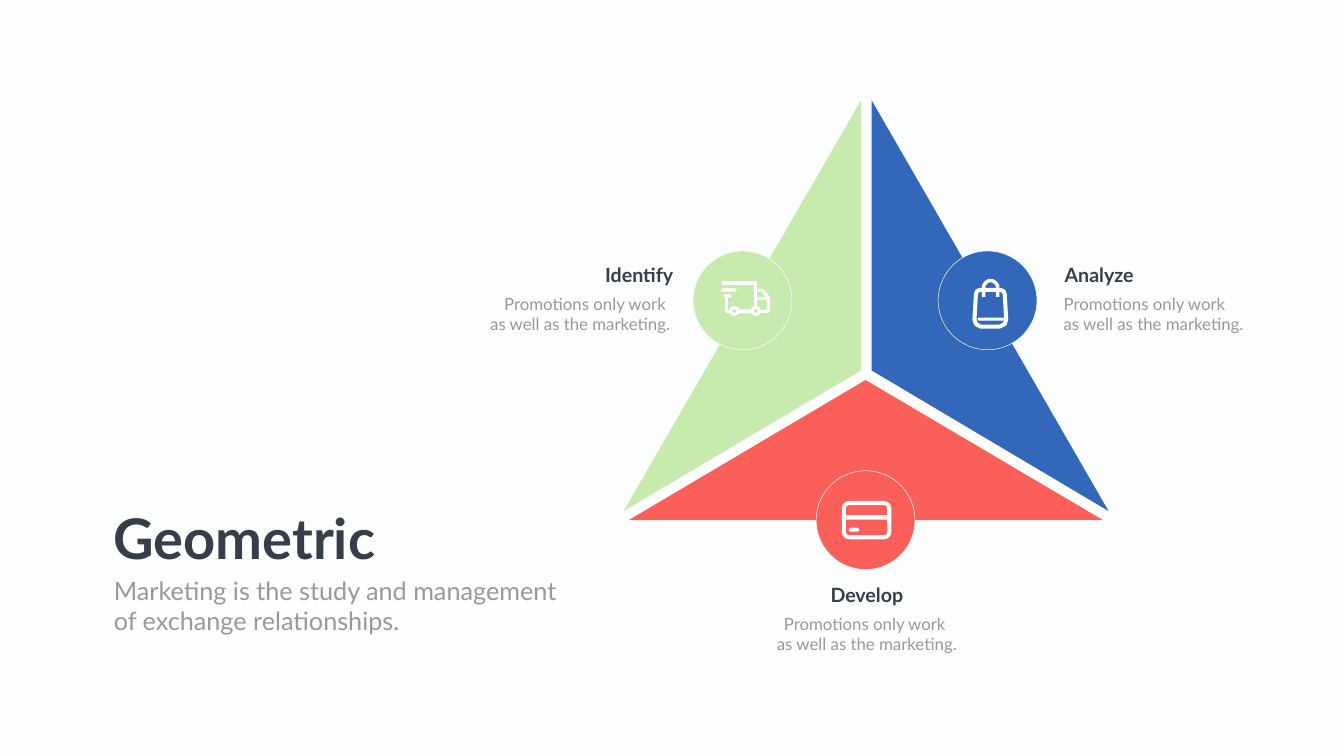
"""Build the Geometric slide: a three-part triangle with icon badges and captions."""
from math import cos, pi, sin

from pptx import Presentation
from pptx.dml.color import RGBColor
from pptx.enum.shapes import MSO_SHAPE as Shape
from pptx.enum.text import PP_ALIGN as Align
from pptx.util import Emu, Pt

PX = 9144
WHITE, DARK, GRAY = "FFFFFF", "353E49", "989998"
RED, BLUE, GREEN = "FA5F59", "3267BA", "C7EBAF"
hex_color = RGBColor.from_string


def paint(shape, fill=None, line=None, width=0):
    shape.shadow.inherit = False
    if fill:
        shape.fill.solid()
        shape.fill.fore_color.rgb = hex_color(fill)
    else:
        shape.fill.background()
    if line:
        shape.line.color.rgb = hex_color(line)
        shape.line.width = Emu(width * PX)
    else:
        shape.line.fill.background()


def outline(points, close):
    builder = page.shapes.build_freeform(*points[0], scale=PX)
    builder.add_line_segments(points[1:], close=close)
    return builder.convert_to_shape()


deck = Presentation()
deck.slide_width, deck.slide_height = Emu(2666 * PX), Emu(1500 * PX)
page = deck.slides.add_slide(deck.slide_layouts[6])
page.background.fill.solid()
page.background.fill.fore_color.rgb = hex_color("FDFFFE")

triangles = [
    (RED, [(1247, 1032), (1717, 754), (2188, 1032)]),
    (BLUE, [(1729, 199), (1729, 735), (2199, 1014)]),
    (GREEN, [(1708, 199), (1708, 735), (1237, 1014)]),
]
for color, corners in triangles:
    paint(outline(corners, True), color)

badges = [(BLUE, 1861, 498), (GREEN, 1375, 498), (RED, 1619, 934)]
for color, left, top in badges:
    badge = page.shapes.add_shape(Shape.OVAL, left * PX, top * PX, 196 * PX, 196 * PX)
    paint(badge, color, WHITE, 1)

truck_cargo = [(1432, 562), (1499, 562), (1499, 610)]
truck_cab = [(1503, 576), (1512, 576), (1524, 590), (1524, 618), (1506, 618)]
truck_rear = [(1441, 586), (1441, 618), (1451, 618)]
bag_body = [
    (1944, 575), (1984, 575), (1991, 578), (1993, 583), (1996, 634), (1993, 643),
    (1983, 648), (1945, 648), (1936, 643), (1933, 634), (1936, 583), (1938, 578),
]
bag_arc = [
    (round(1965 - 14 * cos(step * pi / 12)), round(571 - 14 * sin(step * pi / 12)))
    for step in range(13)
]
bag_handle = [(1951, 589), *bag_arc, (1979, 589)]
strokes = [
    (truck_cargo, False, 7),
    (truck_cab, False, 6),
    (truck_rear, False, 7),
    (bag_body, True, 8),
    (bag_handle, False, 7),
]
for points, close, width in strokes:
    paint(outline(points, close), None, WHITE, width)

bars = [
    (Shape.RECTANGLE, 1499, 589, 25, 6),
    (Shape.RECTANGLE, 1464, 614, 29, 8),
    (Shape.ROUNDED_RECTANGLE, 1430, 572, 31, 7),
    (Shape.ROUNDED_RECTANGLE, 1435, 584, 16, 6),
    (Shape.RECTANGLE, 1675, 1022, 88, 9),
    (Shape.ROUNDED_RECTANGLE, 1684, 1047, 20, 8),
    (Shape.ROUNDED_RECTANGLE, 1939, 630, 55, 6),
]
for kind, *bounds in bars:
    bar = page.shapes.add_shape(kind, *(length * PX for length in bounds))
    if kind == Shape.ROUNDED_RECTANGLE:
        bar.adjustments[0] = 0.5
    paint(bar, WHITE)

for left in (1450, 1492):
    wheel = page.shapes.add_shape(Shape.OVAL, left * PX, 610 * PX, 14 * PX, 14 * PX)
    paint(wheel, None, WHITE, 6)

card = page.shapes.add_shape(Shape.ROUNDED_RECTANGLE, 1674 * PX, 998 * PX, 90 * PX, 68 * PX)
card.adjustments[0] = 0.15
paint(card, None, WHITE, 8)

promotion = "Promotions only work\nas well as the marketing."
spaced_promotion = promotion.replace("\n", " \n")
summary = "Marketing is the study and management\nof exchange relationships."
texts = [
    ("Analyze", 2102, 516, 261, 57, 28, Align.LEFT),
    (promotion, 2100, 578, 463, 91, 24, Align.LEFT),
    ("Identify", 1084, 516, 261, 57, 28, Align.RIGHT),
    (spaced_promotion, 876, 578, 463, 91, 24, Align.RIGHT),
    ("Develop", 1589, 1152, 261, 57, 28, Align.CENTER),
    (spaced_promotion, 1488, 1213, 463, 91, 24, Align.CENTER),
    ("Geometric", 215, 994, 549, 145, 80, Align.LEFT),
    (summary, 216, 1137, 974, 131, 36, Align.LEFT),
]
for text, left, top, width, height, size, align in texts:
    box = page.shapes.add_textbox(left * PX, top * PX, width * PX, height * PX)
    box.text_frame.word_wrap = True
    box.text_frame.text = text
    heading = "\n" not in text
    for para in box.text_frame.paragraphs:
        para.alignment = align
        for span in para.runs:
            span.font.name = "Lato"
            span.font.size = Pt(size)
            span.font.bold = heading
            span.font.color.rgb = hex_color(DARK if heading else GRAY)

deck.save("out.pptx")
